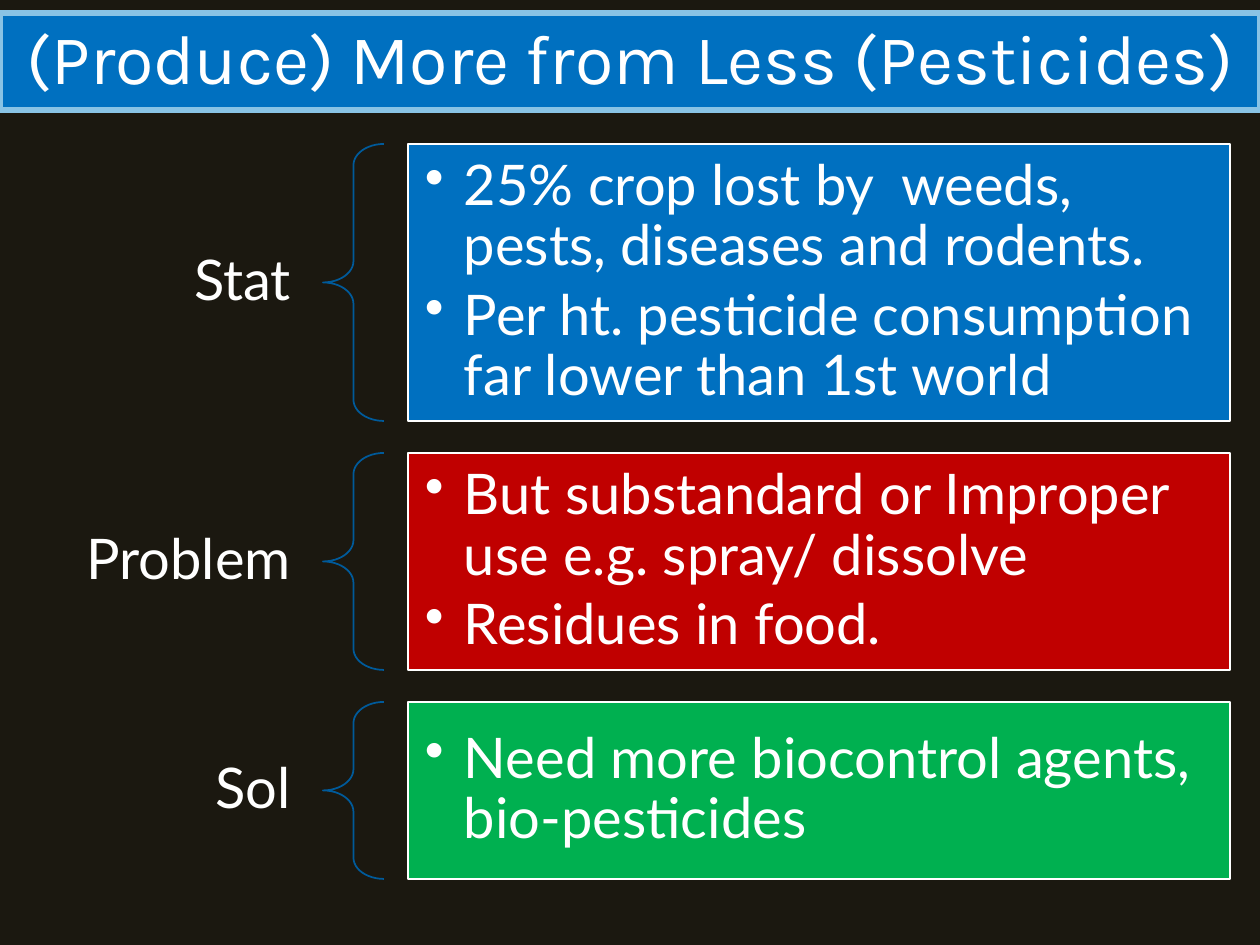
from lxml import etree
from pptx import Presentation
from pptx import util as u
from pptx.dml.color import RGBColor
from pptx.enum import shapes, text
from pptx.oxml import ns

EMU_PER_PX = 914400 / 126

BACKGROUND = RGBColor(0x1B, 0x18, 0x10)
WHITE = RGBColor(0xFF, 0xFF, 0xFF)
BLUE = RGBColor(0x00, 0x70, 0xC0)
RED = RGBColor(0xC0, 0x00, 0x00)
GREEN = RGBColor(0x00, 0xB0, 0x50)
BRACE_BLUE = RGBColor(0x00, 0x5A, 0x9A)
TITLE_BORDER = RGBColor(0x89, 0xC3, 0xE5)

TOP, ROW_GAP, LABEL_HEIGHT = 144, 32, 177

# Label, row height, box colour, bullet points
ROWS = [
    ("Stat", 277, BLUE, [
        "25% crop lost by  weeds, pests, diseases and rodents.",
        "Per ht. pesticide consumption far lower than 1st world",
    ]),
    ("Problem", 217, RED, [
        "But substandard or Improper use e.g. spray/ dissolve",
        "Residues in food.",
    ]),
    ("Sol", 177, GREEN, ["Need more biocontrol agents, bio-pesticides"]),
]


def px(length):
    return u.Emu(round(length * EMU_PER_PX))


def box(*lengths):
    return [px(length) for length in lengths]


def set_line(shape, color, width):
    shape.line.color.rgb = color
    shape.line.width = u.Pt(width)


def set_fill(shape, color):
    shape.fill.solid()
    shape.fill.fore_color.rgb = color


def set_frame(frame, inset_x, inset_y):
    frame.word_wrap = True
    frame.auto_size = text.MSO_AUTO_SIZE.NONE
    frame.vertical_anchor = text.MSO_ANCHOR.MIDDLE
    frame.margin_left = frame.margin_right = px(inset_x)
    frame.margin_top = frame.margin_bottom = px(inset_y)


def write(paragraph, words, alignment, font_name="Lato", size=32):
    paragraph.alignment = alignment
    paragraph.line_spacing = 0.9
    run = paragraph.add_run()
    run.text = words
    run.font.name = font_name
    run.font.size = u.Pt(size)
    run.font.color.rgb = WHITE


def add_bullet(paragraph):
    properties = paragraph._p.get_or_add_pPr()
    properties.set("marL", str(px(39)))
    properties.set("indent", str(-px(39)))
    etree.SubElement(properties, ns.qn("a:buChar")).set("char", "•")


def add_title(slide, words):
    title = slide.shapes.title
    title.left, title.top, title.width, title.height = box(0, 13, 1260, 97)
    set_fill(title, BLUE)
    set_line(title, TITLE_BORDER, 3)
    set_frame(title.text_frame, 13, 6)
    write(title.text_frame.paragraphs[0], words, text.PP_ALIGN.CENTER, "Karla", 40)


def add_label(slide, words, middle):
    label = slide.shapes.add_textbox(*box(21, middle - LABEL_HEIGHT / 2, 302, LABEL_HEIGHT))
    set_frame(label.text_frame, 32, 11)
    write(label.text_frame.paragraphs[0], words, text.PP_ALIGN.RIGHT)


def add_brace(slide, top, height):
    brace = slide.shapes.add_shape(shapes.MSO_SHAPE.LEFT_BRACE, *box(323, top, 61, height))
    brace.adjustments[0] = 0.35
    brace.adjustments[1] = 0.5
    brace.shadow.inherit = False
    brace.fill.background()
    set_line(brace, BRACE_BLUE, 1)


def add_points(slide, top, height, color, points):
    panel = slide.shapes.add_shape(shapes.MSO_SHAPE.RECTANGLE, *box(408, top, 822, height))
    panel.shadow.inherit = False
    set_fill(panel, color)
    set_line(panel, WHITE, 1)
    frame = panel.text_frame
    set_frame(frame, 17, 17)
    for index, point in enumerate(points):
        paragraph = frame.add_paragraph() if index else frame.paragraphs[0]
        add_bullet(paragraph)
        write(paragraph, point, text.PP_ALIGN.LEFT)
        paragraph.space_after = u.Pt(5)


def main():
    presentation = Presentation()
    presentation.slide_width, presentation.slide_height = box(1260, 945)
    slide = presentation.slides.add_slide(presentation.slide_layouts[5])
    set_fill(slide.background, BACKGROUND)

    # Title band
    add_title(slide, "(Produce) More from Less (Pesticides)")

    # Stacked rows: label, brace and bullet panel
    top = TOP
    for label, height, color, points in ROWS:
        add_label(slide, label, top + height / 2)
        add_brace(slide, top, height)
        add_points(slide, top, height, color, points)
        top += height + ROW_GAP

    presentation.save("out.pptx")


if __name__ == "__main__":
    main()
